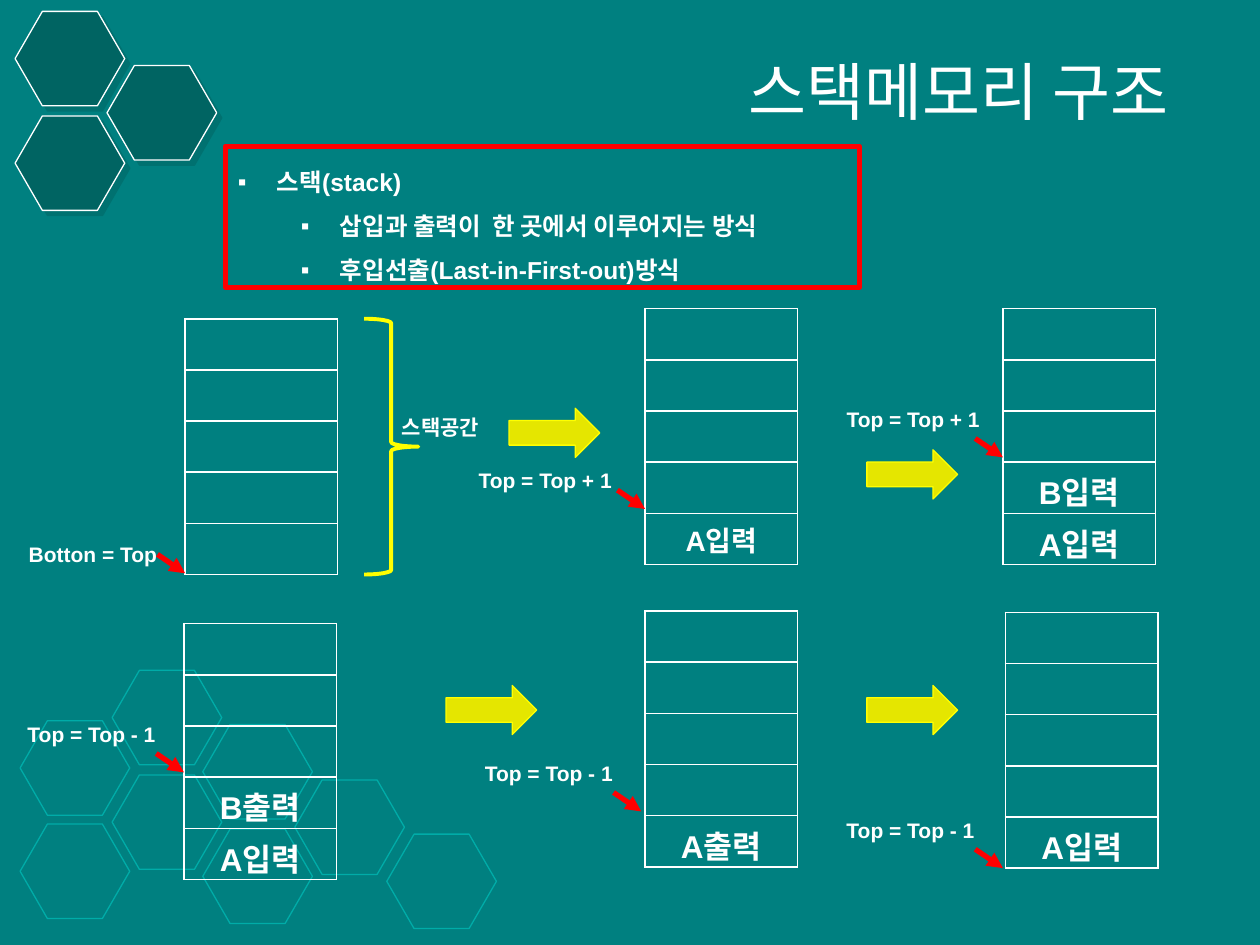
import pptx
import pptx.util
import pptx.dml.color
import pptx.enum.shapes
import pptx.enum.text
import pptx.oxml
import pptx.oxml.ns
from lxml import etree

Inches, Pt = pptx.util.Inches, pptx.util.Pt
SHAPE = pptx.enum.shapes.MSO_SHAPE
ALIGN = pptx.enum.text.PP_ALIGN
ANCHOR = pptx.enum.text.MSO_ANCHOR
qn = pptx.oxml.ns.qn

WHITE, RED, YELLOW = "FFFFFF", "FF0000", "FFFF00"
LATIN, KOREAN = "Arial", "Noto Sans CJK KR"

TITLE = "스택메모리 구조"
BULLETS = [  # level, text
    (0, "스택(stack)"),
    (1, "삽입과 출력이  한 곳에서 이루어지는 방식"),
    (1, "후입선출(Last-in-First-out)방식"),
]
# left, top, filled cells (ending at the bottom row), text size,
# pointer label, label box, pointer start
STACKS = [
    (1.47, 2.53, [], 18, "Botton = Top", (0.13, 4.25, 1.24), (1.25, 4.40)),
    (5.12, 2.45, ["A입력"], 16, "Top = Top + 1", (3.70, 3.66, 1.28), (4.90, 3.89)),
    (7.96, 2.45, ["B입력", "A입력"], 18, "Top = Top + 1", (6.62, 3.18, 1.28), (7.74, 3.48)),
    (1.46, 4.95, ["B출력", "A입력"], 18, "Top = Top - 1", (0.12, 5.68, 1.23), (1.24, 5.98)),
    (5.12, 4.85, ["A출력"], 18, "Top = Top - 1", (3.75, 5.99, 1.23), (4.87, 6.29)),
    (7.98, 4.86, ["A입력"], 18, "Top = Top - 1", (6.62, 6.44, 1.23), (7.74, 6.74)),
]
STEP_ARROWS = [(4.04, 3.24), (6.88, 3.57), (3.54, 5.44), (6.88, 5.44)]
OUTLINE_HEXES = [(1.61, 6.58), (1.61, 5.75), (2.34, 6.19), (3.07, 6.62),
                 (0.89, 6.15), (0.89, 5.32), (0.16, 5.72), (0.16, 6.54)]
FILLED_HEXES = [(0.12, 0.92), (0.12, 0.09), (0.85, 0.52)]
ROWS, CELL_W, CELL_H = 5, 1.21, 0.41
STACK_H = 2.03

prs = pptx.Presentation()
prs.slide_width, prs.slide_height = Inches(10), Inches(7.5)
s = prs.slides.add_slide(prs.slide_layouts[6])


def rgb(color):
    return pptx.dml.color.RGBColor.from_string(color)


def xml(text):
    ns = pptx.oxml.ns.nsdecls("a")
    return pptx.oxml.parse_xml(text.replace(">", f" {ns}>", 1) if "/>" not in text.split(">")[0] + ">"
                               else text.replace("/>", f" {ns}/>", 1))


def add_shape(kind, x, y, w, h, line, width, fill=None):
    sp = s.shapes.add_shape(kind, Inches(x), Inches(y), Inches(w), Inches(h))
    sp.shadow.inherit = False
    if fill:
        sp.fill.solid()
        sp.fill.fore_color.rgb = rgb(fill)
    else:
        sp.fill.background()
    sp.line.color.rgb = rgb(line)
    sp.line.width = Pt(width)
    return sp


def add_run(p, text, size, bold=True, latin=LATIN):
    r = p.add_run()
    r.text = text
    r.font.size, r.font.bold, r.font.name = Pt(size), bold, latin
    r.font.color.rgb = rgb(WHITE)
    r.font._element.find(qn("a:latin")).addnext(xml(f'<a:ea typeface="{KOREAN}"/>'))


def add_label(text, x, y, w):
    sp = s.shapes.add_textbox(Inches(x), Inches(y), Inches(w), Inches(0.3))
    tf = sp.text_frame
    tf.word_wrap = False
    add_run(tf.paragraphs[0], text, 12)


def add_stack(x, y, entries, size):
    frame = s.shapes.add_table(ROWS, 1, Inches(x), Inches(y), Inches(CELL_W), Inches(STACK_H))
    table = frame.table
    table.first_row = table.horz_banding = False
    texts = [""] * (ROWS - len(entries)) + entries
    for i, text in enumerate(texts):
        table.rows[i].height = Inches(STACK_H / ROWS)
        cell = table.cell(i, 0)
        cell.margin_bottom = 0
        cell.fill.background()
        tcPr = cell._tc.get_or_add_tcPr()
        for n, side in enumerate(("lnL", "lnR", "lnT", "lnB")):
            tcPr.insert(n, xml(f'<a:{side} w="12700"><a:solidFill><a:srgbClr val="{WHITE}"/>'
                               f'</a:solidFill></a:{side}>'))
        if text:
            p = cell.text_frame.paragraphs[0]
            p.alignment = ALIGN.CENTER
            add_run(p, text, size)


def add_pointer(x, y):
    line = s.shapes.add_connector(pptx.enum.shapes.MSO_CONNECTOR.STRAIGHT, Inches(x), Inches(y),
                                  Inches(x + 0.22), Inches(y + 0.15))
    line.line.color.rgb = rgb(RED)
    line.line.width = Pt(3)
    line.line._get_or_add_ln().append(xml('<a:tailEnd type="triangle"/>'))
    etree.SubElement(line._element.spPr, qn("a:effectLst"))


# Background and hexagon decoration
s.background.fill.solid()
s.background.fill.fore_color.rgb = rgb("008080")
hexes = [(at, "00ACA8", None) for at in OUTLINE_HEXES] + [(at, WHITE, "006462") for at in FILLED_HEXES]
for (x, y), line, fill in hexes:
    sp = add_shape(SHAPE.HEXAGON, x, y, 0.87, 0.75, line, 0.75, fill)
    sp.adjustments[0] = 0.289
    if fill:
        sp._element.spPr.find(qn("a:effectLst")).append(xml(
            f'<a:outerShdw dist="53340" dir="2700000"><a:srgbClr val="{fill}">'
            '<a:alpha val="50000"/></a:srgbClr></a:outerShdw>'))

# Title
sp = s.shapes.add_textbox(Inches(1.85), Inches(0.28), Inches(7.52), Inches(0.87))
tf = sp.text_frame
tf.word_wrap = True
tf.vertical_anchor = ANCHOR.MIDDLE
tf.paragraphs[0].alignment = ALIGN.RIGHT
add_run(tf.paragraphs[0], TITLE, 36, bold=False, latin=KOREAN)

# Definition box
sp = add_shape(SHAPE.RECTANGLE, 1.79, 1.16, 5.03, 1.12, RED, 3)
tf = sp.text_frame
tf.word_wrap = True
tf.vertical_anchor = ANCHOR.TOP
for i, (level, text) in enumerate(BULLETS):
    p = tf.add_paragraph() if i else tf.paragraphs[0]
    p.level, p.alignment, p.line_spacing = level, ALIGN.LEFT, 1.5
    pPr = p._p.get_or_add_pPr()
    pPr.set("marL", str(Inches(0.31 + 0.5 * level)))
    pPr.set("indent", str(Inches(-0.31)))
    pPr.append(xml('<a:buFont typeface="Arial"/>'))
    pPr.append(xml('<a:buChar char="▪"/>'))
    add_run(p, text, 14)

# Stacks with their top pointers
for x, y, entries, size, label, label_at, pointer_at in STACKS:
    add_stack(x, y, entries, size)
    add_label(label, *label_at)
    add_pointer(*pointer_at)

# Brace naming the stack space
add_shape(SHAPE.RIGHT_BRACE, 2.89, 2.53, 0.43, STACK_H, YELLOW, 2.25)
add_label("스택공간", 3.09, 3.24, 0.88)

# Arrows from step to step
for x, y in STEP_ARROWS:
    add_shape(SHAPE.RIGHT_ARROW, x, y, 0.72, 0.39, YELLOW, 0.75, "E5E600")

prs.save("out.pptx")
